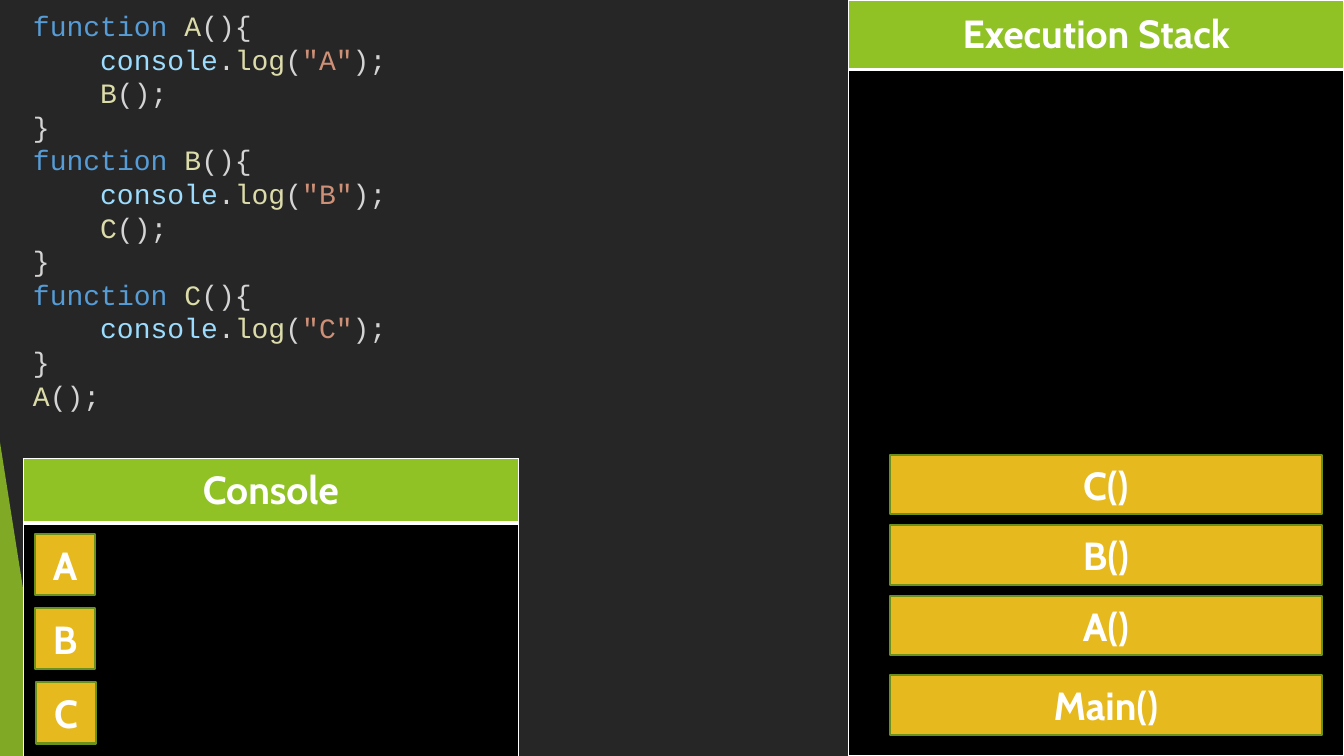
from dataclasses import dataclass

from lxml import etree
from pptx import Presentation
from pptx import util as u
from pptx.dml import color, fill
from pptx.enum import shapes, text
from pptx.oxml import ns

Pt = u.Pt
WHITE, BLACK, GREEN = "FFFFFF", "000000", "90C226"
KEYWORD, CALL, OBJECT, STRING, PLAIN = "569CD6", "DCDCAA", "9CDCFE", "CE9178", "D4D4D4"
INDENT = 48


@dataclass
class Panel:
    title: str
    left: float
    top: float
    header: float
    body: float


@dataclass
class Block:
    label: str
    left: float
    top: float
    width: float
    height: float


@dataclass
class CodeLine:
    tokens: list[tuple[str, str]]
    indent: int = 0


PANELS = [
    Panel("Console", 16.5, 327.6, 46.1, 201.6),
    Panel("Execution Stack", 606.2, 0, 49.7, 490.3),
]
FRAMES = [Block("Main()", 635.8, 482.4, 308.2, 42.5)] + [
    Block(f"{name}()", 635.8, 324.7 + 50.4 * row, 308.2, 42.5)
    for row, name in enumerate("CBA")
]
OUTPUTS = [
    Block(name, left, 381.4 + 52.9 * row, 42.5, 43.9)
    for row, (name, left) in enumerate(zip("ABC", (25.2, 25.2, 25.9)))
]


def paint(target: fill.FillFormat, value: str) -> None:
    target.solid()
    target.fore_color.rgb = color.RGBColor.from_string(value)


def call_line(name: str, indent: int = 0) -> CodeLine:
    return CodeLine([(name, CALL), ("();", PLAIN)], indent)


def function_lines(name: str, callee: str) -> list[CodeLine]:
    log = [("console", OBJECT), (".", PLAIN), ("log", CALL), ("(", PLAIN),
           (f'"{name}"', STRING), (");", PLAIN)]
    lines = [
        CodeLine([("function\u00a0".replace("\u00a0", " "), KEYWORD), (name, CALL), ("(){", PLAIN)]),
        CodeLine(log, INDENT),
    ]
    if callee:
        lines.append(call_line(callee, INDENT))
    return lines + [CodeLine([("}", PLAIN)])]


def add_code(page, lines: list[CodeLine]) -> None:
    box = page.shapes.add_textbox(Pt(16.5), Pt(0), Pt(427), Pt(316))
    frame = box.text_frame
    frame.word_wrap = True
    frame.margin_top = Pt(6)
    for index, line in enumerate(lines):
        para = frame.add_paragraph() if index else frame.paragraphs[0]
        para.line_spacing = Pt(24)
        if line.indent:
            para._p.get_or_add_pPr().set("marL", str(Pt(line.indent)))
        for token, value in line.tokens:
            span = para.add_run()
            span.text = token
            span.font.name = "Courier New"
            span.font.size = Pt(20)
            paint(span.font.fill, value)


def write_label(frame, label: str) -> None:
    frame.text = label
    para = frame.paragraphs[0]
    para.alignment = text.PP_ALIGN.CENTER
    font = para.runs[0].font
    font.name, font.size, font.bold = "Cabin", Pt(28), True
    paint(font.fill, WHITE)


def style_cell(cell, value: str, thick_side: str) -> None:
    properties = cell._tc.get_or_add_tcPr()
    for side in ("lnL", "lnR", "lnT", "lnB"):
        width = Pt(3 if side == thick_side else 1)
        border = etree.SubElement(properties, ns.qn(f"a:{side}"), w=str(width))
        solid = etree.SubElement(border, ns.qn("a:solidFill"))
        etree.SubElement(solid, ns.qn("a:srgbClr"), val=WHITE)
    paint(cell.fill, value)


def add_panel(page, panel: Panel) -> None:
    table = page.shapes.add_table(
        2, 1, Pt(panel.left), Pt(panel.top), Pt(353.8), Pt(panel.header + panel.body)
    ).table
    table.first_row = table.horz_banding = False
    table.rows[0].height = Pt(panel.header)
    table.rows[1].height = Pt(panel.body)
    header, body = table.cell(0, 0), table.cell(1, 0)
    style_cell(header, GREEN, "lnB")
    style_cell(body, BLACK, "lnT")
    header.vertical_anchor = text.MSO_ANCHOR.MIDDLE
    write_label(header.text_frame, panel.title)


def add_block(page, block: Block) -> None:
    shape = page.shapes.add_shape(
        shapes.MSO_SHAPE.RECTANGLE,
        Pt(block.left), Pt(block.top), Pt(block.width), Pt(block.height),
    )
    shape.shadow.inherit = False
    paint(shape.fill, "E6B91E")
    paint(shape.line.fill, "6B901C")
    shape.line.width = Pt(1.5)
    shape.text_frame.vertical_anchor = text.MSO_ANCHOR.MIDDLE
    write_label(shape.text_frame, block.label)


def add_corner(page) -> None:
    corner = page.shapes.add_shape(
        shapes.MSO_SHAPE.ISOSCELES_TRIANGLE, Pt(0), Pt(316), Pt(35.3), Pt(224)
    )
    corner.adjustments[0] = 0
    corner.shadow.inherit = False
    paint(corner.fill, GREEN)
    corner.line.fill.background()
    tint = corner._element.spPr.find(ns.qn("a:solidFill"))[0]
    etree.SubElement(tint, ns.qn("a:alpha"), val="85000")


def main() -> None:
    deck = Presentation()
    deck.slide_width, deck.slide_height = Pt(960), Pt(540)
    page = deck.slides.add_slide(deck.slide_layouts[6])
    paint(page.background.fill, "262626")
    add_corner(page)
    lines = [
        line
        for name, callee in (("A", "B"), ("B", "C"), ("C", ""))
        for line in function_lines(name, callee)
    ]
    add_code(page, lines + [call_line("A")])
    for panel in PANELS:
        add_panel(page, panel)
    for block in FRAMES + OUTPUTS:
        add_block(page, block)
    deck.save("out.pptx")


if __name__ == "__main__":
    main()
